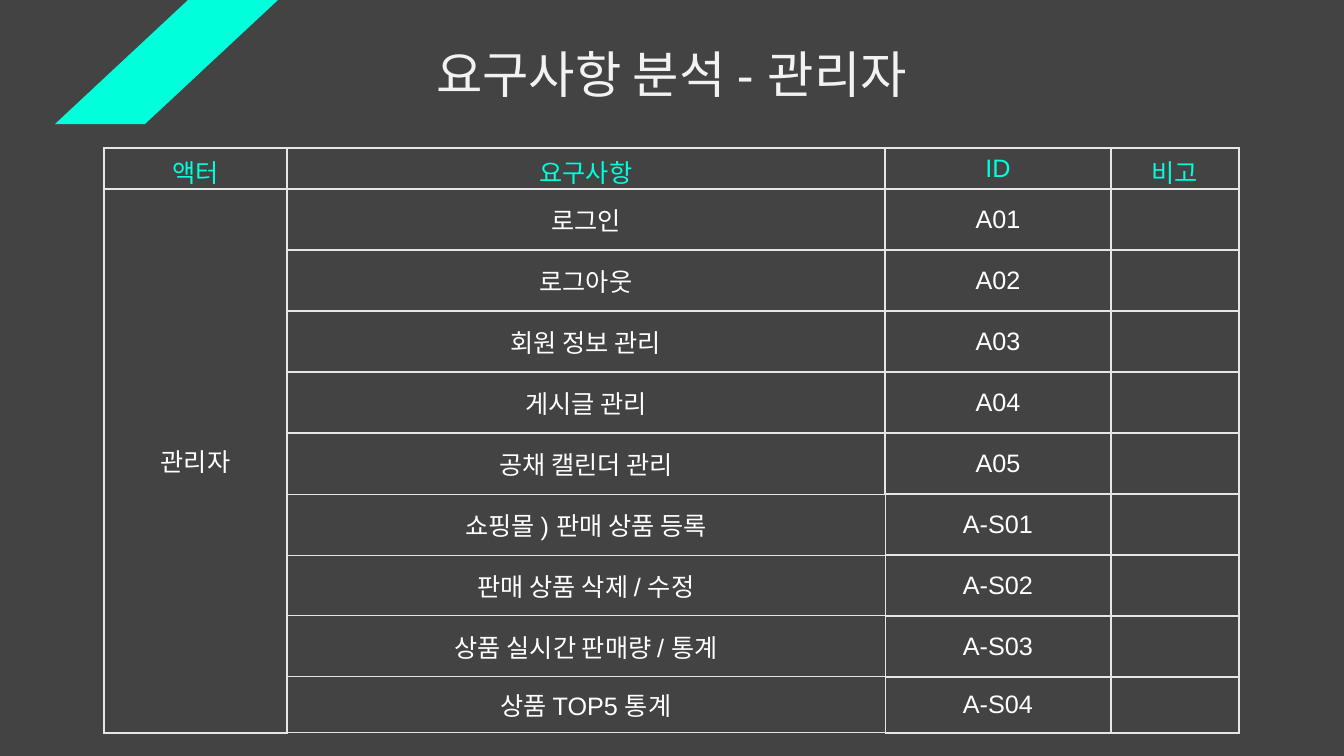
import pptx
import pptx.dml.color
import pptx.enum.text
import pptx.oxml
import pptx.oxml.ns
import pptx.util

PX = 12192000 / 1344
GREY = pptx.dml.color.RGBColor(0x43, 0x43, 0x43)
MINT = pptx.dml.color.RGBColor(0x00, 0xFF, 0xDB)
WHITE = pptx.dml.color.RGBColor(0xFF, 0xFF, 0xFF)
TITLE_WHITE = pptx.dml.color.RGBColor(0xF2, 0xF2, 0xF2)
RULE = pptx.dml.color.RGBColor(0xE7, 0xE6, 0xE6)

HEADINGS = ["액터", "요구사항", "ID", "비고"]
REQUIREMENTS = [
    ("로그인", "A01"),
    ("로그아웃", "A02"),
    ("회원 정보 관리", "A03"),
    ("게시글 관리", "A04"),
    ("공채 캘린더 관리", "A05"),
    ("쇼핑몰 ) 판매 상품 등록", "A-S01"),
    ("판매 상품 삭제 / 수정", "A-S02"),
    ("상품 실시간 판매량 / 통계", "A-S03"),
    ("상품 TOP5 통계", "A-S04"),
]
COLUMN_WIDTHS = [183, 598, 226, 128]
ROW_HEIGHTS = [41] + [61] * 8 + [56]
FIRST_SHOP_ROW = 6


def px(length):
    return pptx.util.Emu(round(length * PX))


def set_borders(cell, widths):
    """Draw the left, right, top and bottom borders, widths in points."""
    properties = cell._tc.get_or_add_tcPr()
    for index, (side, width) in enumerate(zip("LRTB", widths)):
        properties.insert(index, pptx.oxml.parse_xml(
            f'<a:ln{side} {pptx.oxml.ns.nsdecls("a")} w="{pptx.util.Pt(width)}">'
            f'<a:solidFill><a:srgbClr val="{RULE}"/></a:solidFill></a:ln{side}>'))


presentation = pptx.Presentation()
presentation.slide_width = px(1344)
presentation.slide_height = px(756)
slide = presentation.slides.add_slide(presentation.slide_layouts[5])
slide.background.fill.solid()
slide.background.fill.fore_color.rgb = GREY

title = slide.shapes.title
title.left, title.top, title.width, title.height = px(116), px(37), px(1111), px(72)
title.text_frame.text = "요구사항 분석 - 관리자"
title.text_frame.auto_size = pptx.enum.text.MSO_AUTO_SIZE.SHAPE_TO_FIT_TEXT
heading = title.text_frame.paragraphs[0]
heading.alignment = pptx.enum.text.PP_ALIGN.CENTER
heading.font.name = "Arial"
heading.font.size = pptx.util.Pt(36)
heading.font.color.rgb = TITLE_WHITE

rows = [HEADINGS] + [["", name, code, ""] for name, code in REQUIREMENTS]
rows[1][0] = "관리자"
requirements = slide.shapes.add_table(
    len(rows), len(HEADINGS), px(104), px(148),
    px(sum(COLUMN_WIDTHS)), px(sum(ROW_HEIGHTS))).table
requirements.first_row = False
requirements.horz_banding = False
for column, width in zip(requirements.columns, COLUMN_WIDTHS):
    column.width = px(width)
for row, height in zip(requirements.rows, ROW_HEIGHTS):
    row.height = px(height)

for row_index, row in enumerate(rows):
    for column_index, text in enumerate(row):
        cell = requirements.cell(row_index, column_index)
        cell.text = text
        cell.vertical_anchor = pptx.enum.text.MSO_ANCHOR.MIDDLE
        cell.fill.solid()
        cell.fill.fore_color.rgb = GREY
        paragraph = cell.text_frame.paragraphs[0]
        paragraph.alignment = pptx.enum.text.PP_ALIGN.CENTER
        paragraph.font.name = "Arial"
        paragraph.font.size = pptx.util.Pt(18)
        paragraph.font.color.rgb = MINT if row_index == 0 else WHITE

        borders = [1, 1, 1, 1]
        if row_index >= FIRST_SHOP_ROW and column_index == 1:
            borders = [0.75] * 4
        elif row_index >= FIRST_SHOP_ROW and column_index == 2:
            borders[0] = 0.75
        elif row_index == FIRST_SHOP_ROW - 1 and column_index == 1:
            borders[3] = 0.75
        set_borders(cell, borders)
requirements.cell(1, 0).merge(requirements.cell(len(rows) - 1, 0))

outline = slide.shapes.build_freeform(278, 0, scale=PX)
outline.add_line_segments([(188, 0), (55, 124), (145, 124)], close=True)
stripe = outline.convert_to_shape()
stripe.shadow.inherit = False
stripe.fill.solid()
stripe.fill.fore_color.rgb = MINT
stripe.line.fill.background()

presentation.save("out.pptx")
